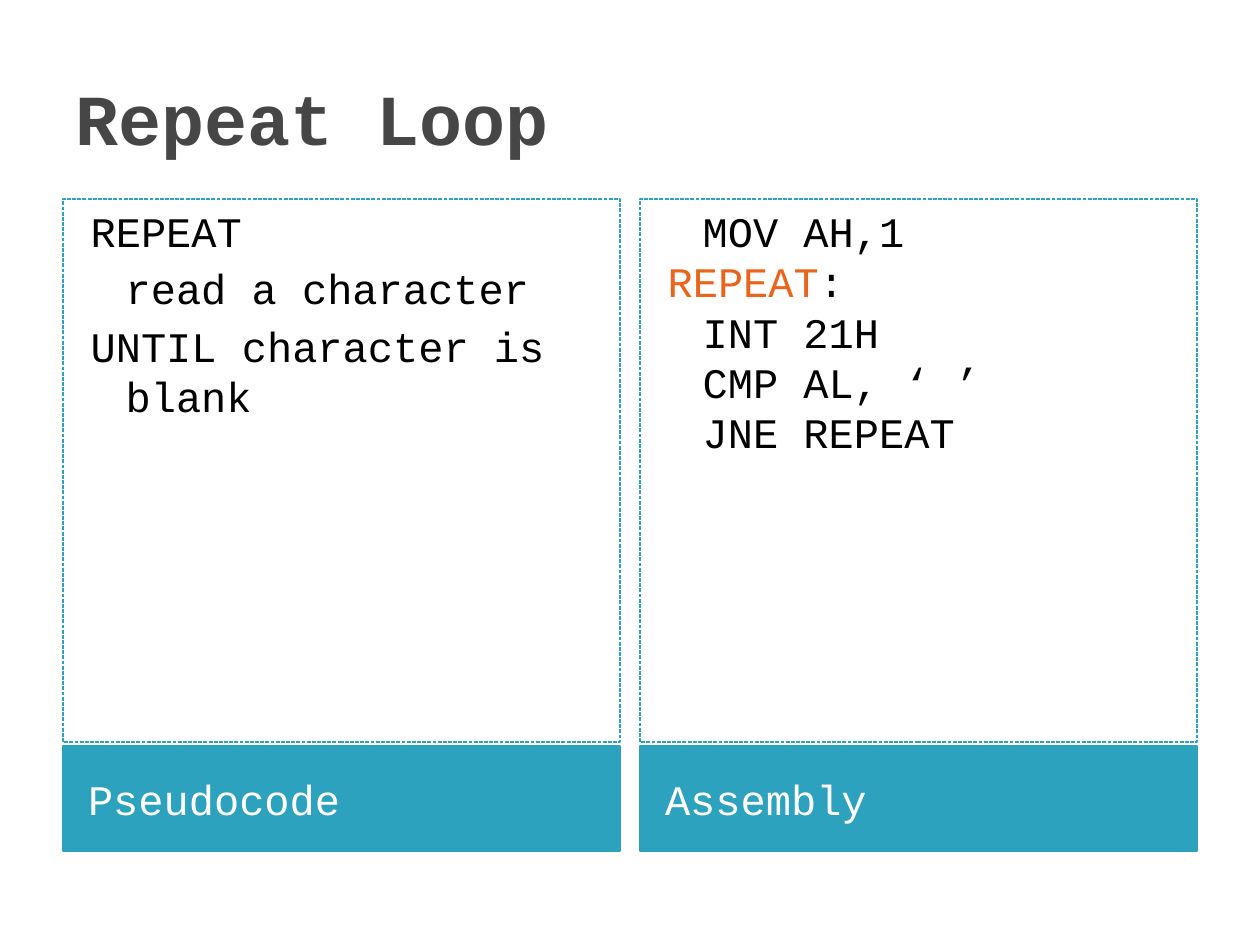
"""Build the Repeat Loop slide comparing pseudocode with assembly."""
from dataclasses import dataclass

import pptx
import pptx.dml.color
import pptx.enum.dml
import pptx.enum.text
import pptx.util

EMU_PER_PX = 914400 / 126
FONT = "Courier New"
COLORS = {"title": "464646", "accent": "2DA2BF", "code": "000000",
          "label": "EB641B", "caption": "FFFFFF"}
COLUMN_LEFT, COLUMN_WIDTH, COLUMN_STEP = 63, 557, 577
CODE_TOP, CODE_HEIGHT = 199, 543
CAPTION_TOP, CAPTION_HEIGHT = 746, 105
CODE_MARGIN, HANGING = 50, -35


@dataclass(frozen=True)
class Line:
    runs: tuple[tuple[str, str], ...]
    indented: bool = False
    space_before: int = 0


@dataclass(frozen=True)
class Column:
    caption: str
    caption_idx: int
    code_idx: int
    lines: tuple[Line, ...]


COLUMNS = (
    Column("Pseudocode", 1, 2, (
        Line((("REPEAT", "code"),), space_before=4),
        Line((("read a character", "code"),), indented=True, space_before=4),
        Line((("UNTIL character is blank", "code"),), space_before=4),
    )),
    Column("Assembly", 3, 4, (
        Line((("MOV AH,1", "code"),), indented=True, space_before=4),
        Line((("REPEAT", "label"), (":", "code"))),
        Line((("INT 21H", "code"),), indented=True),
        Line((("CMP AL, ‘ ’", "code"),), indented=True),
        Line((("JNE REPEAT", "code"),), indented=True),
    )),
)


def px(length: int) -> pptx.util.Emu:
    """Turn pixels into EMU."""
    return pptx.util.Emu(round(length * EMU_PER_PX))


def rgb(name: str) -> pptx.dml.color.RGBColor:
    """Look up a named colour."""
    return pptx.dml.color.RGBColor.from_string(COLORS[name])


def place(holder, left: int, top: int, width: int, height: int, anchor) -> None:
    """Position a placeholder and fix its text frame."""
    holder.left, holder.top = px(left), px(top)
    holder.width, holder.height = px(width), px(height)
    frame = holder.text_frame
    frame.word_wrap = True
    frame.auto_size = pptx.enum.text.MSO_AUTO_SIZE.NONE
    frame.vertical_anchor = anchor


def add_text(paragraph, text: str, size: int, color: str, bold: bool = False) -> None:
    """Add one formatted run."""
    run = paragraph.add_run()
    run.text = text
    run.font.name = FONT
    run.font.size = pptx.util.Pt(size)
    run.font.bold = bold
    run.font.color.rgb = rgb(color)


def format_paragraph(paragraph, margin: int, indent: int, space_before: int) -> None:
    """Set left alignment, indents and spacing, without a bullet."""
    paragraph.alignment = pptx.enum.text.PP_ALIGN.LEFT
    paragraph.space_before = pptx.util.Pt(space_before)
    properties = paragraph._p.get_or_add_pPr()
    properties.set("marL", str(px(margin)))
    properties.set("indent", str(px(indent)))
    properties.append(pptx.oxml.parse_xml(
        '<a:buNone xmlns:a="http://schemas.openxmlformats.org/drawingml/2006/main"/>'))


def draw_title(title) -> None:
    """Fill the title placeholder."""
    place(title, 63, 38, 1134, 158, pptx.enum.text.MSO_ANCHOR.MIDDLE)
    heading = title.text_frame.paragraphs[0]
    heading.alignment = pptx.enum.text.PP_ALIGN.LEFT
    add_text(heading, "Repeat Loop", 41, "title", bold=True)


def draw_caption(holder, left: int, text: str) -> None:
    """Fill the solid caption bar below a column."""
    place(holder, left, CAPTION_TOP, COLUMN_WIDTH, CAPTION_HEIGHT,
          pptx.enum.text.MSO_ANCHOR.MIDDLE)
    holder.fill.solid()
    holder.fill.fore_color.rgb = rgb("accent")
    holder.line.color.rgb = rgb("accent")
    holder.line.width = pptx.util.Pt(0.75)
    holder.text_frame.margin_left = px(25)
    paragraph = holder.text_frame.paragraphs[0]
    format_paragraph(paragraph, 0, 0, 4)
    add_text(paragraph, text, 24, "caption")


def draw_code(holder, left: int, lines: tuple[Line, ...]) -> None:
    """Fill the dashed code panel of a column."""
    place(holder, left, CODE_TOP, COLUMN_WIDTH, CODE_HEIGHT,
          pptx.enum.text.MSO_ANCHOR.TOP)
    holder.line.color.rgb = rgb("accent")
    holder.line.width = pptx.util.Pt(0.75)
    holder.line.dash_style = pptx.enum.dml.MSO_LINE.SQUARE_DOT
    frame = holder.text_frame
    for number, line in enumerate(lines):
        paragraph = frame.add_paragraph() if number else frame.paragraphs[0]
        paragraph.line_spacing = pptx.util.Pt(28.8)
        format_paragraph(paragraph, CODE_MARGIN, 0 if line.indented else HANGING,
                         line.space_before)
        for text, color in line.runs:
            add_text(paragraph, text, 24, color)


def main() -> None:
    """Build and save the slide."""
    deck = pptx.Presentation()
    deck.slide_width, deck.slide_height = px(1260), px(945)
    slide = deck.slides.add_slide(deck.slide_layouts.get_by_name("Comparison"))
    holders = {holder.placeholder_format.idx: holder for holder in slide.placeholders}
    draw_title(slide.shapes.title)
    for number, column in enumerate(COLUMNS):
        left = COLUMN_LEFT + number * COLUMN_STEP
        draw_caption(holders[column.caption_idx], left, column.caption)
        draw_code(holders[column.code_idx], left, column.lines)
    deck.save("out.pptx")


main()
